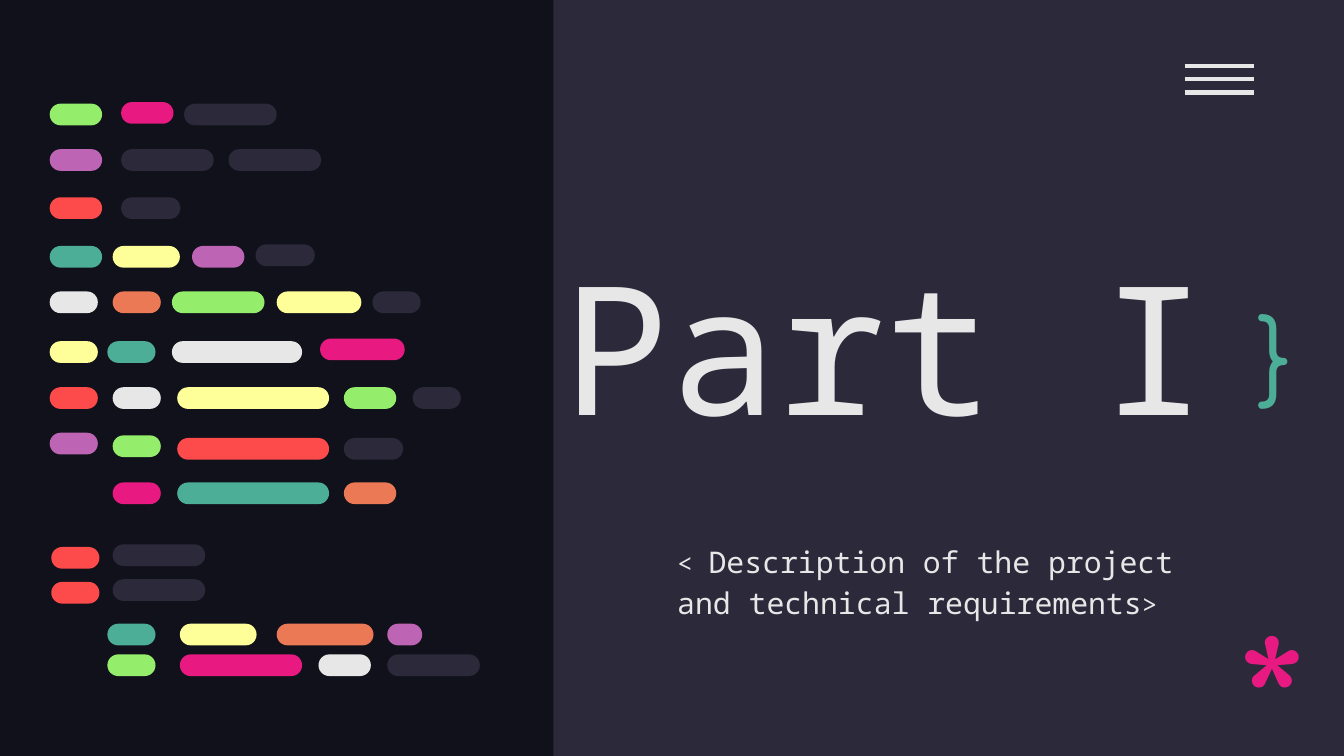
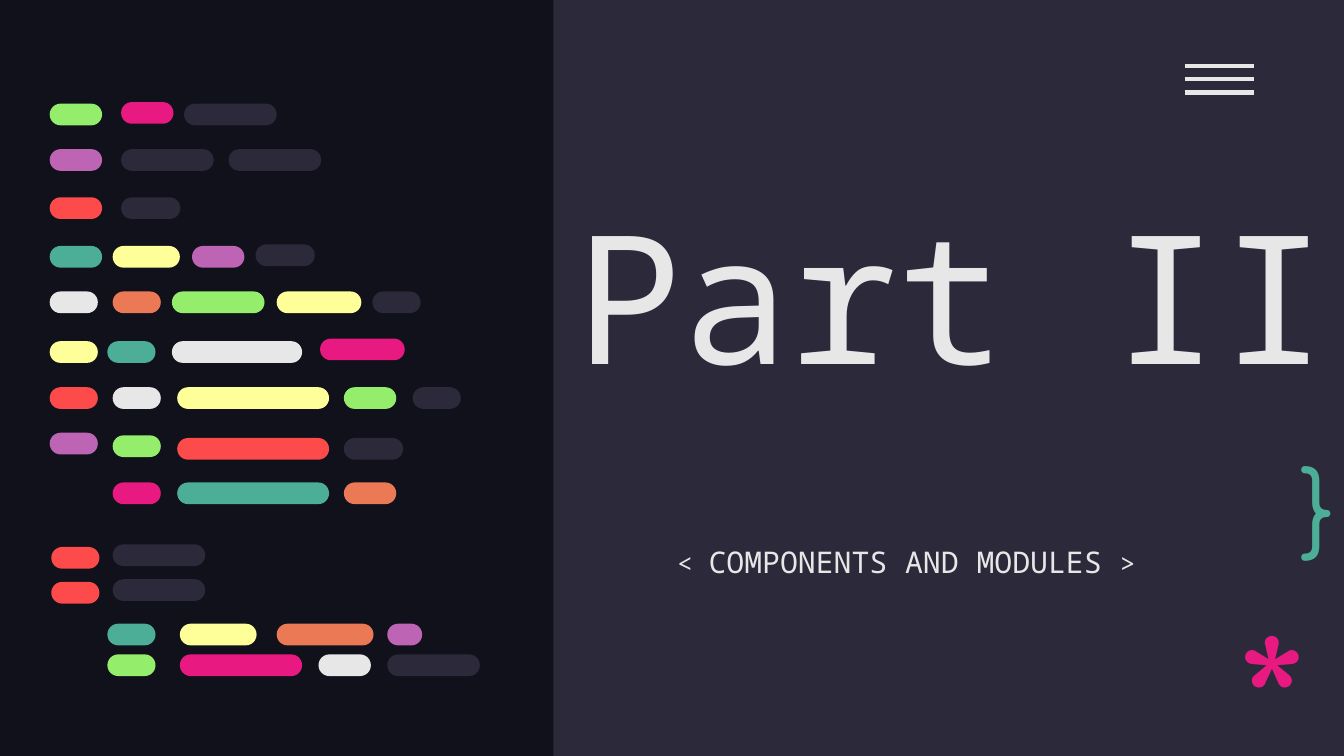
from lxml import etree
from pptx import Presentation
from pptx.dml.color import RGBColor
from pptx.enum import shapes, text
from pptx.oxml.ns import qn
from pptx.util import Cm, Pt

COLORS = {
    "night": "10111A", "panel": "2C293A", "light": "E7E7E7", "pink": "E81A81",
    "green": "94EE6B", "purple": "BD64B5", "red": "FD4A4A", "teal": "4CAE97",
    "yellow": "FFFF99", "orange": "EC7955",
}
MONO, ROUND = "Noto Sans Mono", "Comfortaa"
WIDTH, HEIGHT = 25.4, 14.29
PANEL_LEFT = 10.46
PILL_HEIGHT = 0.41

# Mock code lines: top, then (left, width, colour) of each pill, in cm
CODE_LINES = [
    (1.96, [(0.94, 0.99, "green"), (3.48, 1.75, "panel")]),
    (1.93, [(2.29, 0.99, "pink")]),
    (2.82, [(0.94, 0.99, "purple"), (2.29, 1.75, "panel"), (4.32, 1.75, "panel")]),
    (3.73, [(0.94, 0.99, "red"), (2.29, 1.12, "panel")]),
    (4.65, [(0.94, 0.99, "teal"), (2.13, 1.27, "yellow"), (3.63, 0.99, "purple")]),
    (4.62, [(4.83, 1.12, "panel")]),
    (5.51, [(0.94, 0.91, "light"), (2.13, 0.91, "orange"), (3.25, 1.75, "green"),
            (5.23, 1.6, "yellow"), (7.04, 0.91, "panel")]),
    (6.45, [(0.94, 0.91, "yellow"), (2.03, 0.91, "teal"), (3.25, 2.46, "light")]),
    (6.4, [(6.05, 1.6, "pink")]),
    (7.32, [(0.94, 0.91, "red"), (2.13, 0.91, "light"), (3.35, 2.87, "yellow"),
            (6.5, 0.99, "green"), (7.8, 0.91, "panel")]),
    (8.18, [(0.94, 0.91, "purple")]),
    (8.23, [(2.13, 0.91, "green")]),
    (8.28, [(3.35, 2.87, "red"), (6.5, 1.12, "panel")]),
    (9.12, [(2.13, 0.91, "pink"), (3.35, 2.87, "teal"), (6.5, 0.99, "orange")]),
    (10.29, [(2.13, 1.75, "panel")]),
    (10.34, [(0.97, 0.91, "red")]),
    (10.95, [(2.13, 1.75, "panel")]),
    (11, [(0.97, 0.91, "red")]),
    (11.79, [(2.03, 0.91, "teal"), (3.4, 1.45, "yellow"), (5.23, 1.83, "orange"),
             (7.32, 0.66, "purple")]),
    (12.37, [(2.03, 0.91, "green"), (3.4, 2.31, "pink"), (6.02, 0.99, "light"),
             (7.32, 1.75, "panel")]),
]

# Title, title box, subtitle, left and top of the brace
SECTIONS = [
    ("Part I", (10.39, 3.23, 13.74, 5.56),
     "Description of the project and technical requirements", ">", (23.52, 5.31)),
    ("Part II", (10.62, 2.26, 14.94, 5.56),
     "COMPONENTS AND MODULES ", ">", (24.33, 8.18)),
]


def add_block(parent, kind, box, color):
    sp = parent.add_shape(kind, *map(Cm, box))
    sp.shadow.inherit = False
    sp.fill.solid()
    sp.fill.fore_color.rgb = RGBColor.from_string(COLORS[color])
    sp.line.fill.background()
    return sp


def add_text(slide, box, runs, font, color, anchor=text.MSO_ANCHOR.TOP):
    sp = slide.shapes.add_textbox(*map(Cm, box))
    tf = sp.text_frame
    tf.word_wrap = True
    tf.vertical_anchor = anchor
    tf.margin_left = tf.margin_right = tf.margin_top = tf.margin_bottom = Cm(0.25)
    p = tf.paragraphs[0]
    p.font.name = font
    p.font.color.rgb = RGBColor.from_string(COLORS[color])
    for content, size in runs:
        r = p.add_run()
        r.text = content
        r.font.size = Pt(size)
    return sp


prs = Presentation()
prs.slide_width, prs.slide_height = Cm(WIDTH), Cm(HEIGHT)

for title, title_box, subtitle, closing, brace_at in SECTIONS:
    s = prs.slides.add_slide(prs.slide_layouts[6])
    s.background.fill.solid()
    s.background.fill.fore_color.rgb = RGBColor.from_string(COLORS["night"])

    # Right panel
    add_block(s.shapes, shapes.MSO_SHAPE.RECTANGLE,
              (PANEL_LEFT, 0, WIDTH - PANEL_LEFT, HEIGHT), "panel")

    # Menu icon
    menu = s.shapes.add_group_shape()
    for i in range(3):
        y = Cm(1.25 + 0.25 * i)
        line = menu.shapes.add_connector(
            shapes.MSO_CONNECTOR.STRAIGHT, Cm(22.39), y, Cm(23.7), y)
        line.line.color.rgb = RGBColor.from_string(COLORS["light"])
        line.line.width = Pt(2.25)
        etree.SubElement(line._element.spPr, qn("a:effectLst"))

    # Title and subtitle
    add_text(s, title_box, [(title, 96)], MONO, "light", text.MSO_ANCHOR.BOTTOM)
    sp = add_text(s, (12.55, 9.93, 10.54, 3.07),
                  [("< ", 14), (subtitle, 16), (closing, 14)], MONO, "light")
    sp.fill.solid()
    sp.fill.fore_color.rgb = RGBColor.from_string(COLORS["panel"])
    sp.text_frame.paragraphs[0].line_spacing = 1.15

    # Asterisk
    add_text(s, (23.14, 11.05, 1.45, 2.21), [("*", 96)], ROUND, "pink")

    # Code pills
    code = s.shapes.add_group_shape()
    for top, pills in CODE_LINES:
        for left, width, color in pills:
            pill = add_block(code.shapes, shapes.MSO_SHAPE.ROUNDED_RECTANGLE,
                             (left, top, width, PILL_HEIGHT), color)
            pill.adjustments[0] = 0.5

    # Closing brace
    add_text(s, (*brace_at, 1.45, 2.41), [("}", 50)], ROUND, "teal")

prs.save("out.pptx")
